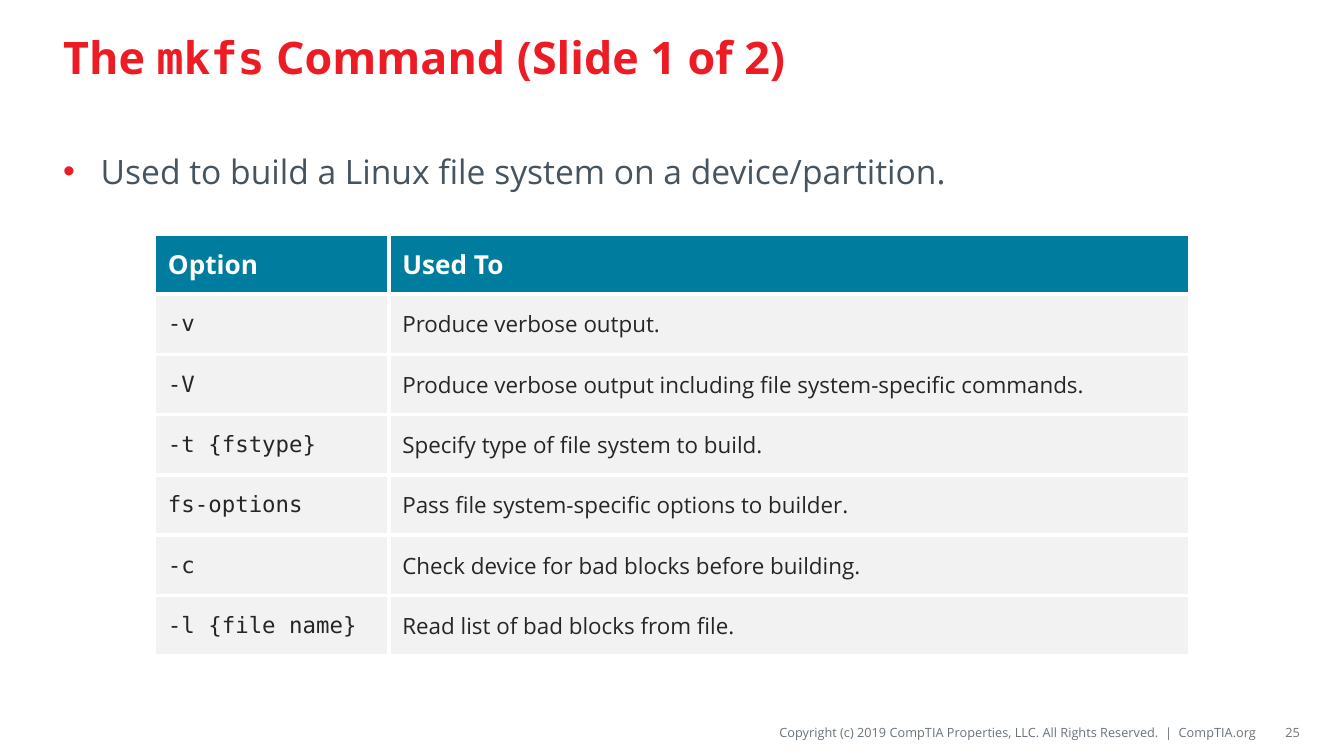
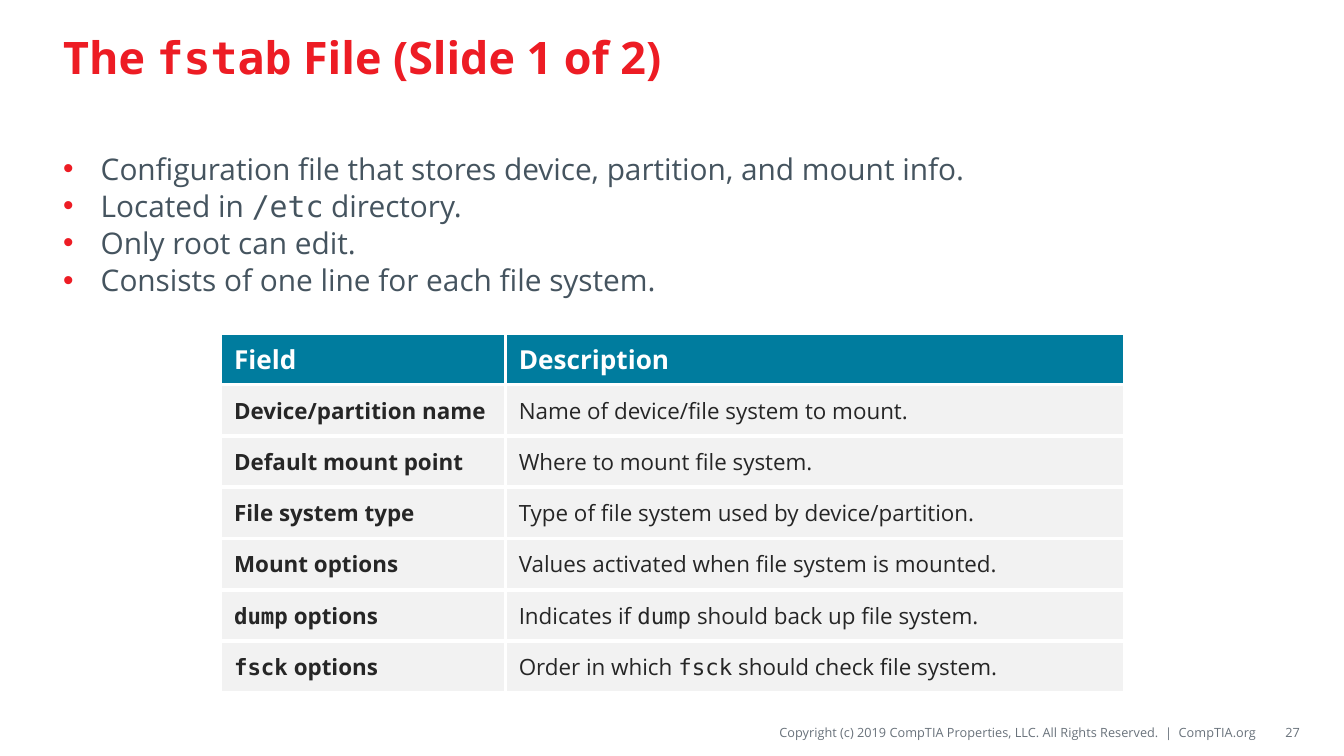
from lxml.etree import SubElement
from pptx import Presentation
from pptx.dml.color import RGBColor
from pptx.enum.text import MSO_ANCHOR, MSO_AUTO_SIZE, PP_ALIGN
from pptx.oxml.ns import qn
from pptx.util import Cm, Pt

COLOURS = {
    "red": "ED1C24",
    "slate": "45545F",
    "grey": "69727B",
    "teal": "007C9E",
    "light": "F2F2F2",
    "dark": "262626",
    "white": "FFFFFF",
}
TEXT_FONT = "Open Sans"
CODE_FONT = "DejaVu Sans Mono"
COPYRIGHT = ("Copyright (c) 2019 CompTIA Properties, LLC. "
             "All Rights Reserved.  |  CompTIA.org")

# Text styles
TITLE = {"size": Pt(24), "bold": True, "colour": "red"}
FOOTER = {"size": Pt(6.8), "bold": False, "colour": "grey"}
HEADER = {"size": Pt(14), "bold": True, "colour": "white"}
CELL = {"size": Pt(12), "bold": False, "colour": "dark"}

# Slide content: text between backticks is set in the code font
MKFS_ROWS = [
    ("Option", "Used To"),
    ("`-v`", "Produce verbose output."),
    ("`-V`", "Produce verbose output including file system-specific commands."),
    ("`-t {fstype}`", "Specify type of file system to build."),
    ("`fs-options`", "Pass file system-specific options to builder."),
    ("`-c`", "Check device for bad blocks before building."),
    ("`-l {file name}`", "Read list of bad blocks from file."),
]
FSTAB_BULLETS = [
    "Configuration file that stores device, partition, and mount info.",
    "Located in `/etc` directory.",
    "Only root can edit.",
    "Consists of one line for each file system.",
]
FSTAB_ROWS = [
    ("Field", "Description"),
    ("Device/partition name", "Name of device/file system to mount."),
    ("Default mount point", "Where to mount file system."),
    ("File system type", "Type of file system used by device/partition."),
    ("Mount options", "Values activated when file system is mounted."),
    ("`dump` options", "Indicates if `dump` should back up file system."),
    ("`fsck` options", "Order in which `fsck` should check file system."),
]


def set_attributes(target, values):
    for name, value in values.items():
        setattr(target, name, value)


def write_text(paragraph, text, style):
    for index, part in enumerate(text.split("`")):
        if not part:
            continue
        run = paragraph.add_run()
        run.text = part
        set_attributes(run.font, {
            "name": CODE_FONT if index % 2 else TEXT_FONT,
            "size": style["size"],
            "bold": style["bold"],
        })
        run.font.color.rgb = RGBColor.from_string(COLOURS[style["colour"]])


def place(shape, left, top, width, height):
    set_attributes(shape, {"left": Cm(left), "top": Cm(top),
                           "width": Cm(width), "height": Cm(height)})


def add_title(slide, text):
    title = slide.shapes.title
    place(title, 0.94, 0.2, 23.5, 1.75)
    set_attributes(title.text_frame, {
        "vertical_anchor": MSO_ANCHOR.MIDDLE, "word_wrap": True,
        "auto_size": MSO_AUTO_SIZE.NONE})
    paragraph = title.text_frame.paragraphs[0]
    paragraph.alignment = PP_ALIGN.LEFT
    write_text(paragraph, text, TITLE)


def add_bullet(paragraph):
    properties = paragraph._p.get_or_add_pPr()
    properties.set("marL", str(Cm(0.71)))
    properties.set("indent", str(-Cm(0.71)))
    colour = SubElement(properties, qn("a:buClr"))
    SubElement(colour, qn("a:srgbClr"), val=COLOURS["red"])
    SubElement(properties, qn("a:buFont"), typeface="Arial")
    SubElement(properties, qn("a:buChar"), char="•")


def add_bullets(slide, lines, size):
    body = slide.placeholders[1]
    place(body, 0.94, 2.72, 23.5, 9.91)
    frame = body.text_frame
    set_attributes(frame, {"vertical_anchor": MSO_ANCHOR.TOP,
                           "word_wrap": True,
                           "auto_size": MSO_AUTO_SIZE.NONE})
    style = {"size": Pt(size), "bold": False, "colour": "slate"}
    for index, line in enumerate(lines):
        paragraph = frame.add_paragraph() if index else frame.paragraphs[0]
        add_bullet(paragraph)
        paragraph.space_before = Pt(0.7 if index else 0)
        write_text(paragraph, line, style)


def add_cell_borders(cell):
    properties = cell._tc.get_or_add_tcPr()
    for side in ("lnL", "lnR", "lnT", "lnB"):
        line = SubElement(properties, qn("a:" + side), w=str(Pt(2.25)))
        fill = SubElement(line, qn("a:solidFill"))
        SubElement(fill, qn("a:srgbClr"), val=COLOURS["white"])


def add_option_table(slide, rows, left, top, widths, row_height,
                     bold_names=False):
    table = slide.shapes.add_table(
        len(rows), len(widths), Cm(left), Cm(top),
        Cm(sum(widths)), Cm(row_height * len(rows))).table
    table.horz_banding = False
    for column, width in zip(table.columns, widths):
        column.width = Cm(width)
    for row_index, texts in enumerate(rows):
        table.rows[row_index].height = Cm(row_height)
        for column_index, text in enumerate(texts):
            cell = table.cell(row_index, column_index)
            cell.vertical_anchor = MSO_ANCHOR.MIDDLE
            add_cell_borders(cell)
            cell.fill.solid()
            fill = "light" if row_index else "teal"
            cell.fill.fore_color.rgb = RGBColor.from_string(COLOURS[fill])
            style = HEADER
            if row_index:
                style = {**CELL, "bold": bold_names and column_index == 0}
            write_text(cell.text_frame.paragraphs[0], text, style)


def add_footer_text(slide, text, left, width, margins):
    box = slide.shapes.add_textbox(Cm(left), Cm(13.56), Cm(width), Cm(0.56))
    frame = box.text_frame
    margin_left, margin_vertical = margins
    set_attributes(frame, {
        "word_wrap": True, "vertical_anchor": MSO_ANCHOR.MIDDLE,
        "margin_left": Cm(margin_left), "margin_right": 0,
        "margin_top": Cm(margin_vertical),
        "margin_bottom": Cm(margin_vertical)})
    paragraph = frame.paragraphs[0]
    paragraph.alignment = PP_ALIGN.RIGHT
    write_text(paragraph, text, FOOTER)


def add_slide(presentation, title, number):
    slide = presentation.slides.add_slide(presentation.slide_layouts[1])
    add_title(slide, title)
    add_footer_text(slide, COPYRIGHT, 9.86, 13.89, (0, 0.1))
    add_footer_text(slide, str(number), 23.83, 0.74, (0.25, 0.13))
    return slide


def main():
    presentation = Presentation()
    set_attributes(presentation, {"slide_width": Cm(25.4),
                                  "slide_height": Cm(14.29)})

    # mkfs options
    slide = add_slide(presentation, "The `mkfs` Command (Slide 1 of 2)", 25)
    add_bullets(slide, ["Used to build a Linux file system on a "
                        "device/partition."], 18)
    add_option_table(slide, MKFS_ROWS, 2.92, 4.42, (4.43, 15.13), 1.14)

    # fstab fields
    slide = add_slide(presentation, "The `fstab` File (Slide 1 of 2)", 27)
    add_bullets(slide, FSTAB_BULLETS, 16)
    add_option_table(slide, FSTAB_ROWS, 4.17, 6.3, (5.38, 11.71), 0.97,
                     bold_names=True)

    presentation.save("out.pptx")


if __name__ == "__main__":
    main()
